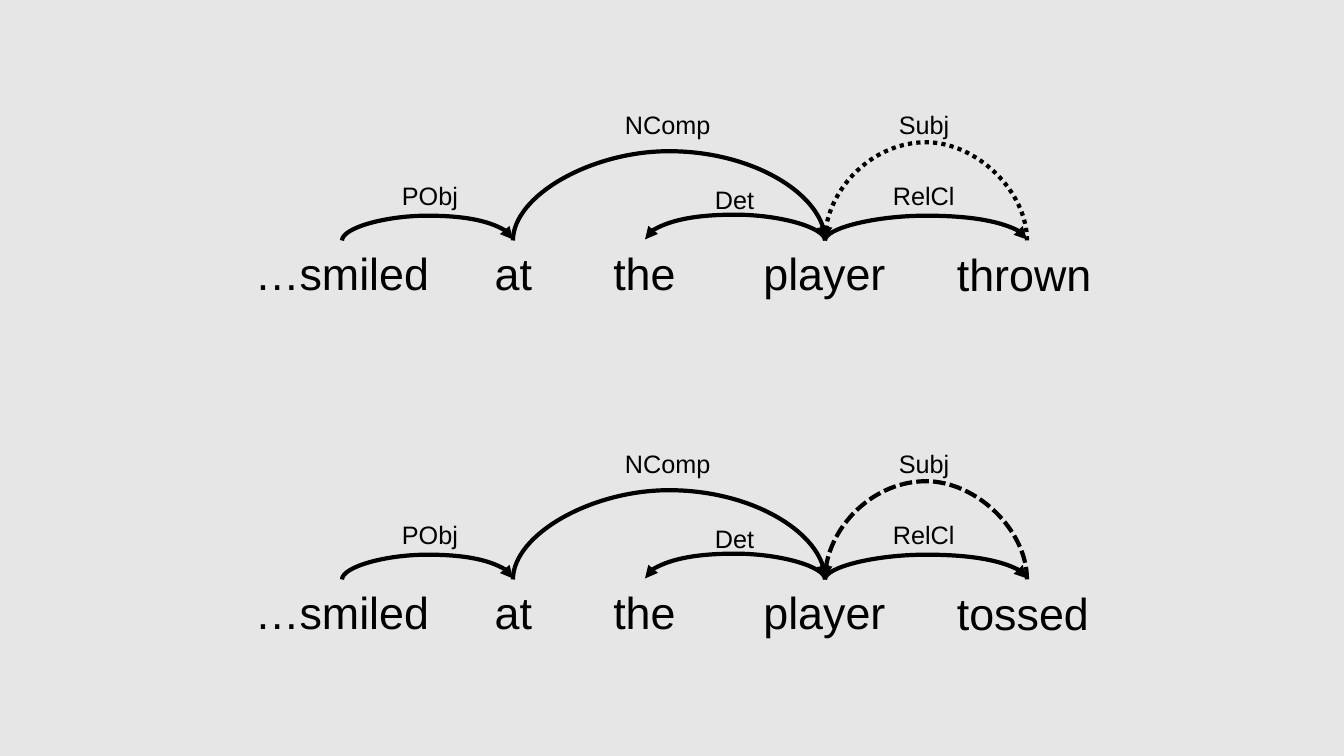
"""Draw two dependency parses as words joined by labelled arcs."""
from lxml import etree
from pptx import Presentation
from pptx.dml.color import RGBColor
from pptx.enum.dml import MSO_LINE
from pptx.enum.shapes import MSO_CONNECTOR
from pptx.enum.text import PP_ALIGN
from pptx.oxml.ns import qn
from pptx.util import Pt

CURVE = MSO_CONNECTOR.CURVE
CENTER, LEFT = PP_ALIGN.CENTER, PP_ALIGN.LEFT
SOLID, DOTTED, DASHED = MSO_LINE.SOLID, MSO_LINE.ROUND_DOT, MSO_LINE.SQUARE_DOT

COLORS = {"background": "E7E6E6", "ink": "000000"}
FONT = "Arial"
EMU_PER_PX = 914400 / 100.8

PARSES = [("thrown", DOTTED), ("tossed", DASHED)]
WORDS = [
    ("…smiled", 244, 241, 196),
    ("at", 460, 241, 107),
    ("the", 591, 241, 107),
    ("player", 753, 241, 143),
]
LAST_WORD_BOX = (947, 242, 161)
LABELS = [
    ("PObj", 392, 175, 79),
    ("NComp", 615, 104, 108),
    ("Det", 705, 179, 66),
    ("RelCl", 883, 175, 86),
    ("Subj", 889, 104, 75),
]
SMILED, AT, THE, PLAYER, LAST = 342, 513, 645, 825, 1027
SOLID_ARCS = [
    (SMILED, AT, 25),
    (AT, PLAYER, 90),
    (PLAYER, THE, 26),
    (PLAYER, LAST, 25),
]
SUBJECT_ARC = (LAST, PLAYER, 99)
ARC_BASE = 240
PARSE_STEP = 339


def px(length):
    return round(length * EMU_PER_PX)


def add_text(page, text, left, top, width, height, size, align):
    box = page.shapes.add_textbox(px(left), px(top), px(width), px(height))
    frame = box.text_frame
    frame.text = text
    frame.word_wrap = True
    para = frame.paragraphs[0]
    para.alignment = align
    font = para.runs[0].font
    font.name, font.size = FONT, Pt(size)
    font.color.rgb = RGBColor.from_string(COLORS["ink"])


def add_arc(page, start, end, rise, base, dash):
    """Turn a one-px-wide curve upright so its adjustment sets the rise."""
    middle, half = (start + end) / 2, (end - start) / 2
    arc = page.shapes.add_connector(
        CURVE, px(middle - 0.5), px(base - half), px(middle + 0.5), px(base + half)
    )
    arc.line.width = Pt(3)
    arc.line.color.rgb = RGBColor.from_string(COLORS["ink"])
    arc.line.dash_style = dash
    properties = arc._element.spPr
    properties.find(qn("a:xfrm")).set("rot", str(270 * 60000))
    adjustments = properties.find(qn("a:prstGeom")).find(qn("a:avLst"))
    etree.SubElement(adjustments, qn("a:gd"), name="adj1", fmla=f"val {rise * 100000}")
    etree.SubElement(properties.find(qn("a:ln")), qn("a:tailEnd"), type="triangle")
    etree.SubElement(properties, qn("a:effectLst"))


def add_parse(page, last_word, subject_dash, shift):
    for word, left, top, width in WORDS:
        add_text(page, word, left, top + shift, width, 65, 32, CENTER)
    left, top, width = LAST_WORD_BOX
    add_text(page, last_word, left, top + shift, width, 65, 32, LEFT)
    for label, left, top, width in LABELS:
        add_text(page, label, left, top + shift, width, 40, 18, LEFT)
    for arc in SOLID_ARCS:
        add_arc(page, *arc, ARC_BASE + shift, SOLID)
    add_arc(page, *SUBJECT_ARC, ARC_BASE + shift, subject_dash)


def main():
    deck = Presentation()
    deck.slide_width, deck.slide_height = px(1344), px(756)
    page = deck.slides.add_slide(deck.slide_layouts[6])
    fill = page.background.fill
    fill.solid()
    fill.fore_color.rgb = RGBColor.from_string(COLORS["background"])
    for index, (last_word, subject_dash) in enumerate(PARSES):
        add_parse(page, last_word, subject_dash, index * PARSE_STEP)
    deck.save("out.pptx")


if __name__ == "__main__":
    main()
